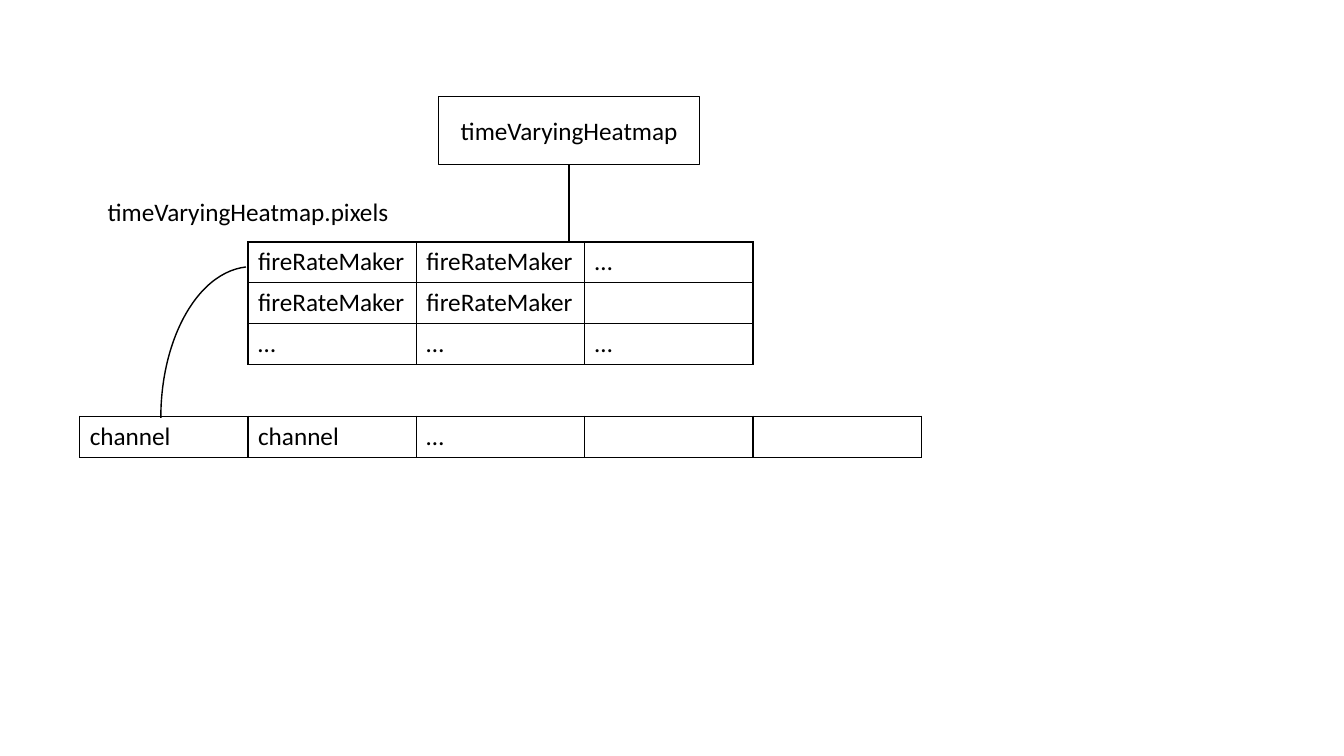
from dataclasses import dataclass

from lxml.etree import SubElement
from pptx import Presentation
from pptx.dml.color import RGBColor
from pptx.enum.shapes import MSO_CONNECTOR, MSO_SHAPE
from pptx.enum.text import MSO_ANCHOR, PP_ALIGN
from pptx.oxml import parse_xml
from pptx.oxml.ns import nsdecls, qn
from pptx.slide import Slide
from pptx.text.text import TextFrame
from pptx.util import Inches, Pt

COLORS = {"ink": "000000", "paper": "FFFFFF"}
FONT = "Calibri"
COL_W, ROW_H = 1.67, 0.4


@dataclass
class Grid:
    left: float
    top: float
    rows: list[list[str]]


GRIDS = [
    Grid(2.46, 2.4, [
        ["fireRateMaker", "fireRateMaker", "…"],
        ["fireRateMaker", "fireRateMaker", ""],
        ["…", "…", "…"],
    ]),
    Grid(0.79, 4.13, [["channel", "channel", "…", "", ""]]),
]


def rgb(name: str) -> RGBColor:
    return RGBColor.from_string(COLORS[name])


def write(tf: TextFrame, text: str, *, size: float = 18, color: str = "ink",
          align: PP_ALIGN = PP_ALIGN.LEFT) -> None:
    p = tf.paragraphs[0]
    p.alignment = align
    if text:
        p.add_run().text = text
    for font in [p.font] + [r.font for r in p.runs]:
        font.name, font.size = FONT, Pt(size)
        font.color.rgb = rgb(color)


def add_grid(s: Slide, grid: Grid) -> None:
    n_rows, n_cols = len(grid.rows), len(grid.rows[0])
    table = s.shapes.add_table(
        n_rows, n_cols, Inches(grid.left), Inches(grid.top),
        Inches(COL_W * n_cols), Inches(ROW_H * n_rows)).table
    table.first_row = table.horz_banding = False
    for col in table.columns:
        col.width = Inches(COL_W)
    for row, texts in zip(table.rows, grid.rows):
        row.height = Inches(ROW_H)
        for cell, text in zip(row.cells, texts):
            write(cell.text_frame, text)
            # Borders come before the fill in the cell properties
            tc_pr = cell._tc.get_or_add_tcPr()
            for side in ("lnL", "lnR", "lnT", "lnB"):
                tc_pr.append(parse_xml(
                    f'<a:{side} {nsdecls("a")} w="{Pt(1)}"><a:solidFill>'
                    f'<a:srgbClr val="{COLORS["ink"]}"/></a:solidFill></a:{side}>'))
            cell.fill.background()


def main() -> None:
    prs = Presentation()
    prs.slide_width, prs.slide_height = Inches(13.33), Inches(7.5)
    s = prs.slides.add_slide(prs.slide_layouts[6])

    # Heatmap object
    box = s.shapes.add_shape(MSO_SHAPE.RECTANGLE, Inches(4.35), Inches(0.96),
                             Inches(2.59), Inches(0.67))
    box.shadow.inherit = False
    box.fill.solid()
    box.fill.fore_color.rgb = rgb("paper")
    box.line.color.rgb = rgb("ink")
    box.line.width = Pt(1)
    box.text_frame.vertical_anchor = MSO_ANCHOR.MIDDLE
    write(box.text_frame, "timeVaryingHeatmap", align=PP_ALIGN.CENTER)

    # Pixel and channel grids
    for grid in GRIDS:
        add_grid(s, grid)

    # Pixels label
    label = s.shapes.add_textbox(Inches(0.97), Inches(1.9), Inches(3.08), Inches(0.4))
    label.text_frame.word_wrap = True
    write(label.text_frame, "timeVaryingHeatmap.pixels")

    # Link from heatmap to pixels
    link = s.shapes.add_connector(MSO_CONNECTOR.STRAIGHT, Inches(5.64), Inches(1.63),
                                  Inches(5.64), Inches(2.4))
    link.line.color.rgb = rgb("ink")
    link.line.width = Pt(1.25)
    SubElement(link._element.spPr, qn("a:effectLst"))

    # Arc from the first pixel to its channels
    arc = s.shapes.add_shape(MSO_SHAPE.ARC, Inches(1), Inches(3.24), Inches(3), Inches(1.81))
    arc.rotation = 270
    arc.adjustments[0], arc.adjustments[1] = 162, 214.62
    arc.shadow.inherit = False
    arc.fill.background()
    arc.line.color.rgb = rgb("ink")
    arc.line.width = Pt(1)

    prs.save("out.pptx")


if __name__ == "__main__":
    main()
